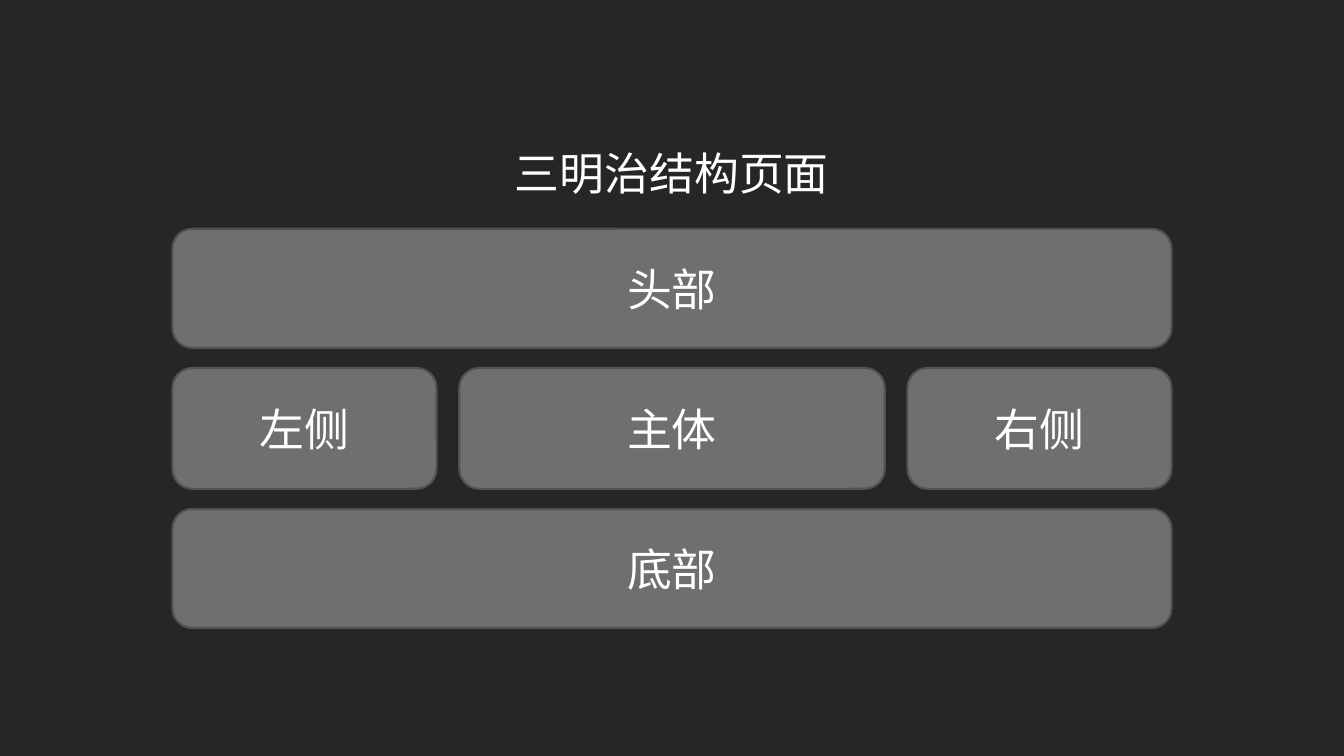
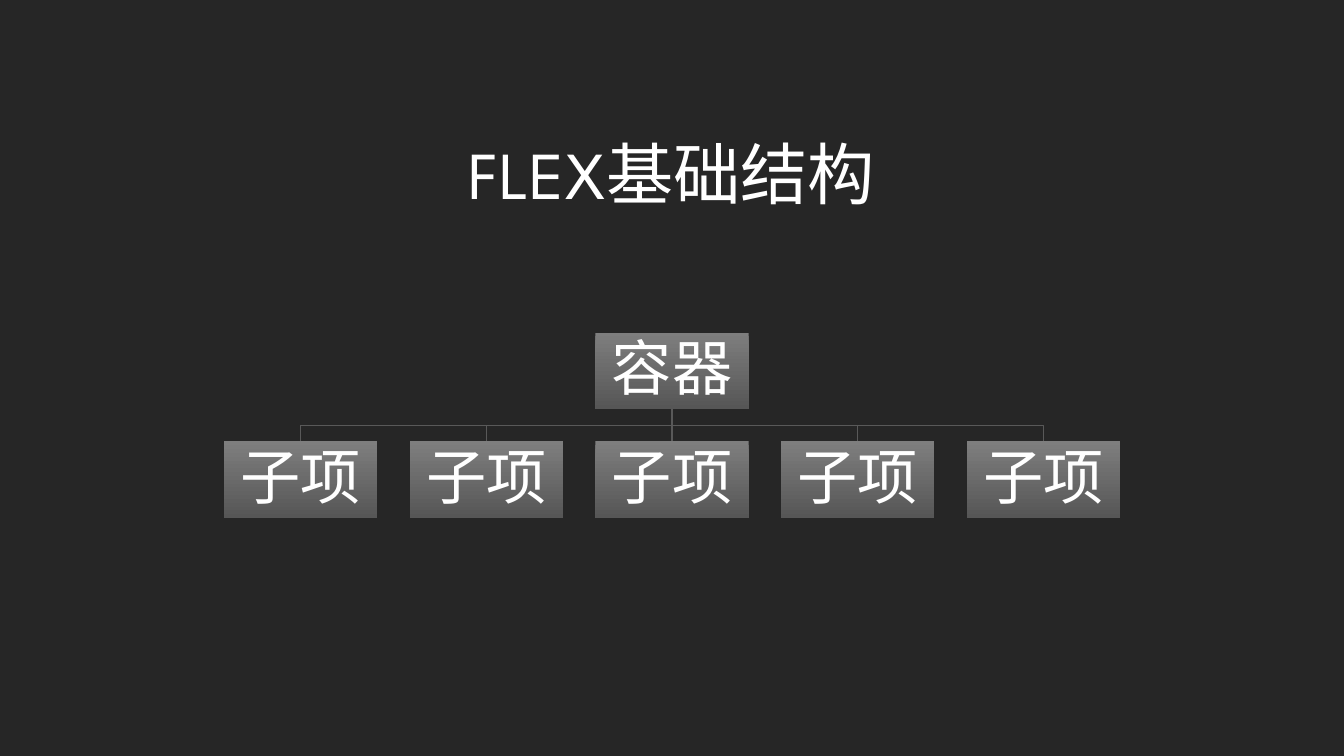
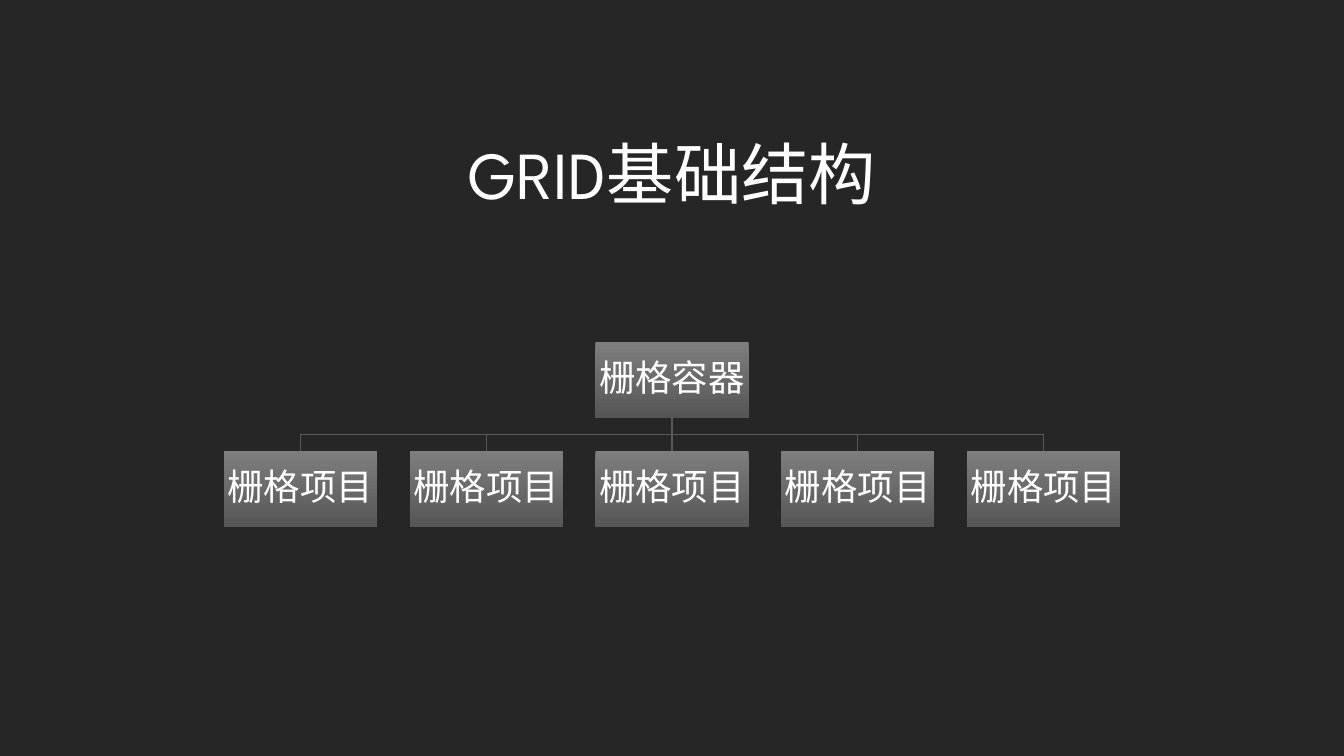
from lxml import etree
from pptx import Presentation
from pptx import util as u
from pptx.dml.color import RGBColor
from pptx.enum import shapes, text
from pptx.oxml.ns import qn

COLORS = {
    "background": "262626",
    "text": "FFFFFF",
    "panel": "6F6F6F",
    "panel_line": "525252",
    "node_top": "7E7E7E",
    "node_bottom": "565656",
    "branch": "595959",
}
FONT = "League Spartan"


def write_text(shape, words, size):
    frame = shape.text_frame
    frame.word_wrap = True
    frame.vertical_anchor = text.MSO_ANCHOR.MIDDLE
    paragraph = frame.paragraphs[0]
    paragraph.alignment = text.PP_ALIGN.CENTER
    run = paragraph.add_run()
    run.text = words
    run.font.size = u.Pt(size)
    run.font.name = FONT
    run.font.color.rgb = RGBColor.from_string(COLORS["text"])
    etree.SubElement(run.font._element, qn("a:ea")).set("typeface", FONT)
    return paragraph


def add_titled_slide(title, size):
    slide = presentation.slides.add_slide(presentation.slide_layouts[6])
    slide.background.fill.solid()
    slide.background.fill.fore_color.rgb = RGBColor.from_string(COLORS["background"])
    box = slide.shapes.add_textbox(u.Inches(1.25), u.Inches(0.67), u.Inches(10.83), u.Inches(2.08))
    write_text(box, title, size)
    return slide


presentation = Presentation()
presentation.slide_width = u.Inches(13.33)
presentation.slide_height = u.Inches(7.5)

slide = add_titled_slide("三明治结构页面", 32)
page_left, page_width, row_gap = 1.71, 9.91, 0.2
rows = [
    (1.18, [("头部", page_width)]),
    (1.2, [("左侧", 2.62), ("主体", 4.22), ("右侧", 2.62)]),
    (1.18, [("底部", page_width)]),
]
top = 2.27
for height, panels in rows:
    column_gap = (page_width - sum(width for _, width in panels)) / max(len(panels) - 1, 1)
    left = page_left
    for label, width in panels:
        panel = slide.shapes.add_shape(
            shapes.MSO_SHAPE.ROUNDED_RECTANGLE,
            u.Inches(left), u.Inches(top), u.Inches(width), u.Inches(height),
        )
        panel.shadow.inherit = False
        panel.fill.solid()
        panel.fill.fore_color.rgb = RGBColor.from_string(COLORS["panel"])
        panel.line.color.rgb = RGBColor.from_string(COLORS["panel_line"])
        panel.line.width = u.Pt(1.5)
        write_text(panel, label, 32)
        left += width + column_gap
    top += height + row_gap

node_width, node_height, level_gap = 1.52, 0.76, 0.32
first_left, last_left, child_count = 2.22, 9.59, 5
pitch = (last_left - first_left) / (child_count - 1)
middle = child_count // 2
trees = [
    ("FLEX基础结构", "容器", "子项", 3.3, 43, 0.03),
    ("GRID基础结构", "栅格容器", "栅格项目", 3.39, 26, 0.02),
]
for title, container_label, child_label, container_top, size, inset in trees:
    slide = add_titled_slide(title, 48)
    container_bottom = container_top + node_height
    child_top = container_bottom + level_gap
    child_lefts = [first_left + pitch * index for index in range(child_count)]
    centers = [left + node_width / 2 for left in child_lefts]
    branches = []

    for center in centers[:middle] + centers[middle + 1:]:
        bend = container_bottom + level_gap / 2
        outline = slide.shapes.build_freeform(
            u.Inches(centers[middle]), u.Inches(container_bottom), scale=1.0
        )
        outline.add_line_segments(
            [(u.Inches(x), u.Inches(y)) for x, y in
             [(centers[middle], bend), (center, bend), (center, child_top)]],
            close=False,
        )
        branch = outline.convert_to_shape()
        branch.shadow.inherit = False
        branch.fill.background()
        branches.append(branch)

    nodes = []
    places = [(container_label, child_lefts[middle], container_top)]
    places += [(child_label, left, child_top) for left in child_lefts]
    for label, left, top in places:
        node = slide.shapes.add_shape(
            shapes.MSO_SHAPE.RECTANGLE,
            u.Inches(left), u.Inches(top), u.Inches(node_width), u.Inches(node_height),
        )
        node.shadow.inherit = False
        node.line.fill.background()
        node.fill.gradient()
        node.fill.gradient_angle = 270
        for stop, name in zip(node.fill.gradient_stops, ["node_top", "node_bottom"]):
            stop.color.rgb = RGBColor.from_string(COLORS[name])
        frame = node.text_frame
        frame.margin_left = frame.margin_right = u.Inches(inset)
        frame.margin_top = frame.margin_bottom = u.Inches(inset)
        write_text(node, label, size).line_spacing = 0.9
        nodes.append(node)

    trunk = slide.shapes.add_connector(
        shapes.MSO_CONNECTOR.STRAIGHT,
        u.Inches(centers[middle]), u.Inches(container_bottom),
        u.Inches(centers[middle]), u.Inches(child_top),
    )
    trunk.begin_connect(nodes[0], 2)
    trunk.end_connect(nodes[1 + middle], 0)
    branches.append(trunk)
    for branch in branches:
        branch.line.color.rgb = RGBColor.from_string(COLORS["branch"])
        branch.line.width = u.Pt(0.75)
    etree.SubElement(trunk._element.spPr, qn("a:effectLst"))

presentation.save("out.pptx")
